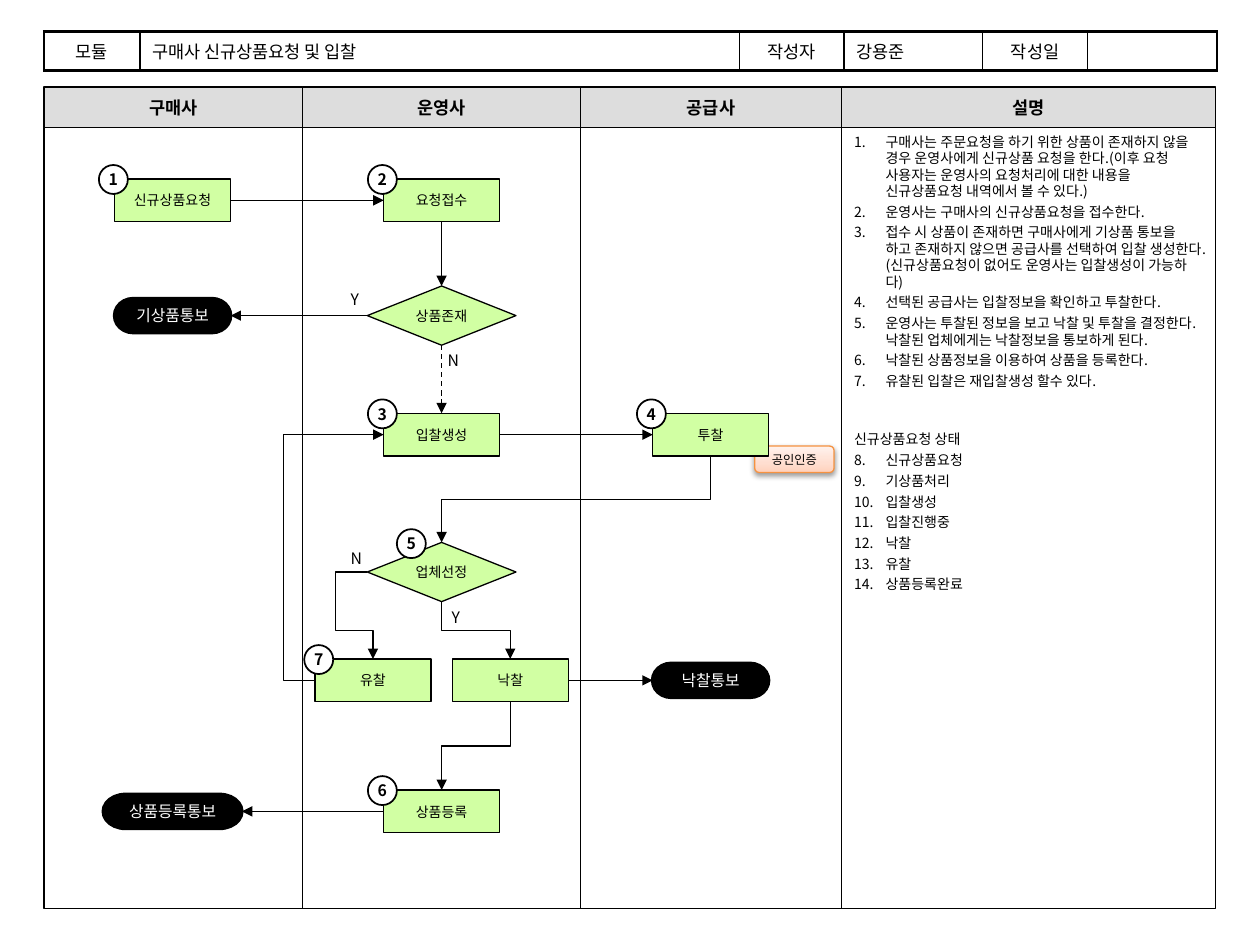
import copy
import pptx
import pptx.util
import pptx.dml.color
import pptx.enum.dml
import pptx.enum.shapes
import pptx.enum.text
import pptx.oxml
import pptx.oxml.ns

RGB = pptx.dml.color.RGBColor
BLACK = RGB(0, 0, 0)
WHITE = RGB(255, 255, 255)
GREY = RGB(0xDD, 0xDD, 0xDD)
GREEN = RGB(0xD1, 0xFF, 0xA3)
AMBER = RGB(0xF6, 0x92, 0x40)
PEACH = [(0, RGB(0xFF, 0xD2, 0xBD)), (0.35, RGB(0xFF, 0xDE, 0xD0)), (1, RGB(0xFF, 0xF2, 0xED))]
FACE = "Noto Sans CJK KR"
KIND = pptx.enum.shapes.MSO_SHAPE
ALIGN = pptx.enum.text.PP_ALIGN
MID = pptx.enum.text.MSO_ANCHOR.MIDDLE
Pt = pptx.util.Pt
qn = pptx.oxml.ns.qn
NS = pptx.oxml.ns.nsdecls("a")
COLS, ROWS = 100, 75

RULES = [
    "구매사는 주문요청을 하기 위한 상품이 존재하지 않을 경우 운영사에게 신규상품 요청을 한다.(이후 요청 사용자는 "
    "운영사의 요청처리에 대한 내용을 신규상품요청 내역에서 볼 수 있다.)",
    "운영사는 구매사의 신규상품요청을 접수한다.",
    "접수 시 상품이 존재하면 구매사에게 기상품 통보을 하고 존재하지 않으면 공급사를 선택하여 입찰 생성한다."
    "(신규상품요청이 없어도 운영사는 입찰생성이 가능하다)",
    "선택된 공급사는 입찰정보을 확인하고 투찰한다.",
    "운영사는 투찰된 정보을 보고 낙찰 및 투찰을 결정한다. 낙찰된 업체에게는 낙찰정보을 통보하게 된다.",
    "낙찰된 상품정보을 이용하여 상품을 등록한다.",
    "유찰된 입찰은 재입찰생성 할수 있다.",
]
STATES = ["신규상품요청", "기상품처리", "입찰생성", "입찰진행중", "낙찰", "유찰", "상품등록완료"]

deck = pptx.Presentation()
deck.slide_width, deck.slide_height = pptx.util.Inches(10), pptx.util.Inches(7.5)
slide = deck.slides.add_slide(deck.slide_layouts[6])


def grid(*cells):
    """Turn grid columns and rows, in x, y order, into lengths."""
    unit = (deck.slide_width / COLS, deck.slide_height / ROWS)
    return [round(cell * unit[i % 2]) for i, cell in enumerate(cells)]


def write(para, text, size, color=BLACK, bold=False, align=None):
    """Fill a paragraph and set its font."""
    para.text, para.alignment = text, align
    font = para.font
    font.name, font.size, font.bold = FACE, Pt(size), bold
    font.color.rgb = color
    props = para._p.pPr.find(qn("a:defRPr"))
    props.append(pptx.oxml.parse_xml(f'<a:ea {NS} typeface="{FACE}"/>'))


def block(kind, box, fill=None, line=BLACK, width=0.75, text="", size=8, color=BLACK, bold=False):
    """Add a shape with centred text."""
    shape = slide.shapes.add_shape(kind, *grid(*box))
    shape.shadow.inherit = False
    if fill is None:
        shape.fill.background()
    else:
        shape.fill.solid()
        shape.fill.fore_color.rgb = fill
    shape.line.color.rgb, shape.line.width = line, Pt(width)
    if text:
        frame = shape.text_frame
        frame.word_wrap, frame.vertical_anchor = False, MID
        frame.margin_left = frame.margin_right = 0
        write(frame.paragraphs[0], text, size, color, bold, ALIGN.CENTER)
    return shape


def label(x, y, text):
    """Add a branch label."""
    frame = slide.shapes.add_textbox(*grid(x, y, 2.8, 2.5)).text_frame
    frame.word_wrap = True
    write(frame.paragraphs[0], text, 9)
    frame.paragraphs[0].line_spacing = Pt(10.5)


def arrow(start, end, bends=None, upright=False, dash=False):
    """Add an arrow, bent at the given shares of its span, leaving downward if upright."""
    if upright:
        mx, my = (start[0] + end[0]) / 2, (start[1] + end[1]) / 2
        start, end = [(mx + y - my, my - x + mx) for x, y in (start, end)]
    kinds = pptx.enum.shapes.MSO_CONNECTOR
    kind = kinds.ELBOW if bends else kinds.STRAIGHT
    link = slide.shapes.add_connector(kind, *grid(*start, *end))
    link.line.color.rgb, link.line.width = BLACK, Pt(0.75)
    if dash:
        link.line.dash_style = pptx.enum.dml.MSO_LINE.DASH
    props = link._element.spPr
    if upright:
        props.xfrm.set("rot", "5400000")
    if bends:
        shape = props.find(qn("a:prstGeom"))
        shape.set("prst", f"bentConnector{len(bends) + 2}")
        marks = "".join(f'<a:gd name="adj{i}" fmla="val {round(b * 100000)}"/>'
                        for i, b in enumerate(bends, 1))
        for old in list(shape):
            shape.remove(old)
        shape.append(pptx.oxml.parse_xml(f"<a:avLst {NS}>{marks}</a:avLst>"))
    props.find(qn("a:ln")).append(pptx.oxml.parse_xml(f'<a:tailEnd {NS} type="triangle"/>'))
    props.append(pptx.oxml.parse_xml(f"<a:effectLst {NS}/>"))


def header(x, y, w, h):
    """Draw the title table."""
    texts = ["모듈", "구매사 신규상품요청 및 입찰", "작성자", "강용준", "작성일", ""]
    shares = [0.76, 4.76, 0.83, 1.1, 0.83, 1.03]
    table = slide.shapes.add_table(1, len(texts), *grid(x, y, w, h)).table
    table.first_row = table.horz_banding = False
    for i, (text, share) in enumerate(zip(texts, shares)):
        table.columns[i].width = grid(w * share / sum(shares))[0]
        cell = table.cell(0, i)
        cell.vertical_anchor = MID
        cell.margin_top = cell.margin_bottom = 0
        write(cell.text_frame.paragraphs[0], text, 10, align=None if i in (1, 3) else ALIGN.CENTER)
        props = cell._tc.get_or_add_tcPr()
        edges = {"L": i == 0, "R": i == len(texts) - 1, "T": True, "B": True}
        for side, outer in edges.items():
            props.append(pptx.oxml.parse_xml(
                f'<a:ln{side} {NS} w="{Pt(1.5 if outer else 1)}"><a:solidFill>'
                f'<a:srgbClr val="{BLACK}"/></a:solidFill></a:ln{side}>'))
        cell.fill.background()


def lane(x, y, w, h, title):
    """Draw a titled lane and return its body."""
    head = 3.2
    body = block(KIND.RECTANGLE, (x, y + head, w, h - head))
    block(KIND.RECTANGLE, (x, y, w, head), GREY, text=title, size=10, bold=True)
    return body


def notes(body):
    """Write the numbered rules and states into a lane body."""
    frame = body.text_frame
    frame.word_wrap, frame.vertical_anchor = True, pptx.enum.text.MSO_ANCHOR.TOP
    items = [(t, 1) for t in RULES] + [("신규상품요청 상태", 0)] + [(t, len(RULES) + 1) for t in STATES]
    for i, (text, first) in enumerate(items):
        para = frame.add_paragraph() if i else frame.paragraphs[0]
        write(para, text, 8, align=ALIGN.LEFT)
        para.line_spacing = Pt(9.4)
        para.space_before = Pt(2.4 if first else 24)
        if first:
            props = para._p.pPr
            props.set("marL", str(grid(2.5)[0]))
            props.set("indent", str(-grid(2.5)[0]))
            props.find(qn("a:defRPr")).addprevious(pptx.oxml.parse_xml(
                f'<a:buAutoNum {NS} type="arabicPeriod" startAt="{first}"/>'))


def stamp(box):
    """Draw the shaded certificate tag."""
    tag = block(KIND.ROUNDED_RECTANGLE, box, line=AMBER, text="공인인증", size=7)
    tag.fill.gradient()
    tag.fill.gradient_angle = 90
    stops = tag._element.spPr.find(qn("a:gradFill")).find(qn("a:gsLst"))
    stops.insert(1, copy.deepcopy(stops[0]))
    for stop, (place, color) in zip(tag.fill.gradient_stops, PEACH):
        stop.position, stop.color.rgb = place, color
    tag._element.spPr.find(qn("a:effectLst")).append(pptx.oxml.parse_xml(
        f'<a:outerShdw {NS} blurRad="{Pt(3.1)}" dist="{Pt(1.6)}" dir="5400000" rotWithShape="0">'
        f'<a:srgbClr val="{BLACK}"><a:alpha val="38000"/></a:srgbClr></a:outerShdw>'))


def flow(x, y):
    """Draw the process flow from the top left of the lanes."""
    buy, run, sell = x + 10.2, x + 31.55, x + 52.9
    lose, win = x + 26.1, x + 37
    ask, check, bid, pick, close, enrol = [y + row for row in (9, 18.15, 27.6, 38.5, 47.1, 57.5)]
    dx, dy, rise, drop = 4.6, 1.7, 2.35, 5.9

    arrow((buy + dx, ask), (run - dx, ask))
    arrow((run, ask + dy), (run, check - rise))
    arrow((run - drop, check), (buy + dx, check))
    arrow((run, check + rise), (run, bid - dy), dash=True)
    arrow((run + dx, bid), (sell - dx, bid))
    arrow((sell, bid + dy), (run, pick - rise), [0.5], True)
    arrow((run - drop, pick), (lose, close - dy), [-2.5 / (lose - run + drop), 0.67])
    arrow((run, pick + rise), (win, close - dy), [0.5], True)
    arrow((lose - dx, close), (run - dx, bid), [-0.46])
    arrow((win + dx, close), (sell - dx, close))
    arrow((win, close + dy), (run, enrol - dy), [0.5], True)
    arrow((run - dx, enrol), (buy + 5.5, enrol))

    stamp((sell + 3.5, bid + 0.9, 6.3, 2.1))
    for cx, cy, text in [(buy, ask, "신규상품요청"), (run, ask, "요청접수"), (run, bid, "입찰생성"),
                         (sell, bid, "투찰"), (lose, close, "유찰"), (win, close, "낙찰"),
                         (run, enrol, "상품등록")]:
        block(KIND.RECTANGLE, (cx - dx, cy - dy, 2 * dx, 2 * dy), GREEN, text=text)
    for cy, text in [(check, "상품존재"), (pick, "업체선정")]:
        block(KIND.FLOWCHART_DECISION, (run - drop, cy - rise, 2 * drop, 2 * rise), GREEN, text=text)
    for cx, cy, half, text in [(buy, check, 4.6, "기상품통보"), (sell, close, 4.6, "낙찰통보"),
                               (buy, enrol, 5.5, "상품등록통보")]:
        block(KIND.FLOWCHART_TERMINATOR, (cx - half, cy - 1.35, 2 * half, 2.7), BLACK,
              width=2, text=text, size=9, color=WHITE)
    spots = [(buy - dx, ask), (run - dx, ask), (run - dx, bid), (sell - dx, bid),
             (run - 2.3, pick - 0.6), (run - dx, enrol), (lose - dx + 0.4, close)]
    for i, (cx, cy) in enumerate(spots, 1):
        block(KIND.OVAL, (cx - 1.25, cy - dy - 1.1, 2.3, 2.3), WHITE, width=1,
              text=str(i), size=9, bold=True)
    for cx, cy, text in [(run - 8.2, check - 2.5, "Y"), (run - 0.5, check + rise, "N"),
                         (run - 0.2, pick + rise, "Y"), (run - 8.2, pick - 2.3, "N")]:
        label(cx, cy, text)


left, top = 3.5, 6.9
header(left, 2.5, 93.1, 3.1)
edge = left
for title, width in [("구매사", 20.5), ("운영사", 22.05), ("공급사", 20.75), ("설명", 29.7)]:
    body = lane(edge, top, width, 65.2, title)
    edge += width
notes(body)
flow(left, top)
deck.save("out.pptx")
